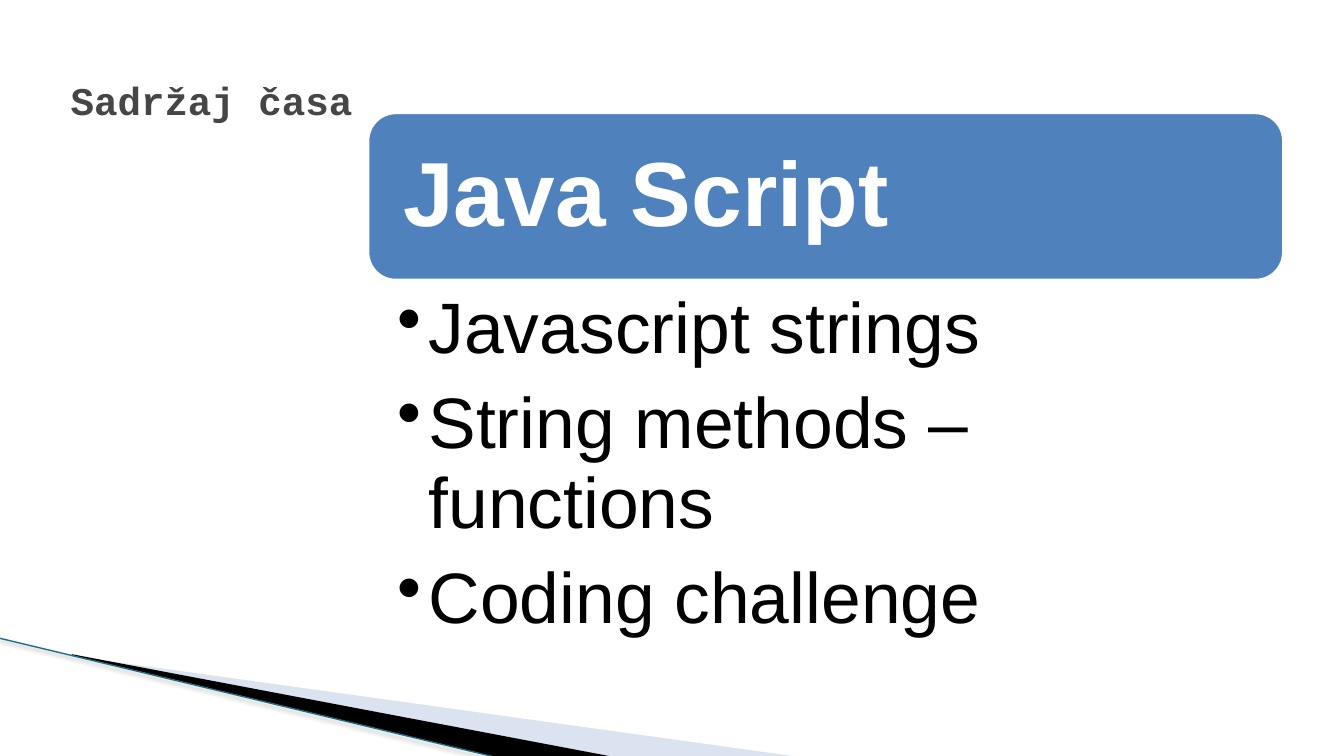
from lxml import etree
from pptx import Presentation
from pptx.dml.color import RGBColor
from pptx.enum.shapes import MSO_CONNECTOR, MSO_SHAPE
from pptx.enum.text import MSO_ANCHOR
from pptx.oxml import parse_xml
from pptx.oxml.ns import nsdecls, qn
from pptx.util import Inches, Pt

STRAIGHT = MSO_CONNECTOR.STRAIGHT
ROUNDED = MSO_SHAPE.ROUNDED_RECTANGLE
TOP, MIDDLE = MSO_ANCHOR.TOP, MSO_ANCHOR.MIDDLE

COLORS = {
    "pale": "A7B9DB", "black": "000000", "teal": "196F85",
    "heading": "464646", "blue": "4F81BD", "white": "FFFFFF",
}
RGB = {name: RGBColor.from_string(value) for name, value in COLORS.items()}

prs = Presentation()
prs.slide_width, prs.slide_height = Inches(13.33), Inches(7.5)
slide = prs.slides.add_slide(prs.slide_layouts[6])
shapes = slide.shapes


def place(*percents):
    """Turn alternating x, y percentages of the slide into lengths."""
    sides = (prs.slide_width, prs.slide_height)
    return [int(sides[i % 2] * p / 100) for i, p in enumerate(percents)]


def add_text(area, lines, font, size, color, bold=False, anchor=MIDDLE,
             insets=(0.75, 0.67, 0.75, 0.67), spacing=1.0, after=0):
    frame = shapes.add_textbox(*place(*area)).text_frame
    frame.word_wrap = True
    frame.vertical_anchor = anchor
    (frame.margin_left, frame.margin_top,
     frame.margin_right, frame.margin_bottom) = place(*insets)
    for i, line in enumerate(lines):
        paragraph = frame.add_paragraph() if i else frame.paragraphs[0]
        paragraph.line_spacing = spacing
        paragraph.space_after = Pt(after)
        run = paragraph.add_run()
        run.text = line
        run.font.name, run.font.size, run.font.bold = font, Pt(size), bold
        run.font.color.rgb = RGB[color]
    return frame


# Corner wedges
wedges = [
    ("pale", [(5.48, 86.8), (59.49, 100.13), (45.61, 100.13), (5.48, 86.67)]),
    ("black", [(5.33, 86.53), (45.69, 100.13), (37.21, 100.27), (5.4, 86.67)]),
]
for color, corners in wedges:
    start, *others = [place(*corner) for corner in corners]
    outline = shapes.build_freeform(*start)
    outline.add_line_segments(others)
    wedge = outline.convert_to_shape()
    wedge.shadow.inherit = False
    wedge.fill.solid()
    wedge.fill.fore_color.rgb = RGB[color]
    wedge.line.fill.background()
    if color == "pale":
        tint = wedge.fill._xPr.find(qn("a:solidFill"))[0]
        etree.SubElement(tint, qn("a:alpha"), val="40000")

# Edge line with a soft shadow below
edge = shapes.add_connector(STRAIGHT, *place(-0.08, 84.4, 37.13, 100.27))
edge.line.color.rgb = RGB["teal"]
edge.line.width = Pt(0.96)
edge._element.spPr.append(parse_xml(
    f'<a:effectLst {nsdecls("a")}><a:outerShdw blurRad="{Pt(3.1)}" '
    f'dist="{Pt(1.6)}" dir="5400000" algn="t" rotWithShape="0">'
    f'<a:srgbClr val="{COLORS["black"]}"><a:alpha val="38000"/></a:srgbClr>'
    '</a:outerShdw></a:effectLst>'))

# Slide heading
add_text((4.5, 3.6, 85.6, 19.33), ["Sadržaj časa"], "Courier New", 28,
         "heading", bold=True)

# Topic banner
banner = shapes.add_shape(ROUNDED, *place(27.38, 14.93, 68.12, 22.13))
banner.shadow.inherit = False
banner.fill.solid()
banner.fill.fore_color.rgb = RGB["blue"]
banner.line.color.rgb = RGB["white"]
banner.line.width = Pt(2)
add_text((27.98, 16, 66.84, 20), ["Java Script"], "Arial", 65, "white",
         bold=True, insets=(2.03, 3.6, 2.03, 3.6), spacing=0.9)

# Lesson topics
topics = add_text(
    (27.38, 37.07, 68.12, 46.13),
    ["Javascript strings", "String methods – functions", "Coding challenge"],
    "Arial", 51, "black", anchor=TOP, insets=(2.18, 1.2, 3.83, 1.2),
    spacing=0.94, after=10)
indent = place(2.33)[0]
for topic in topics.paragraphs:
    properties = topic._p.get_or_add_pPr()
    properties.set("marL", str(indent))
    properties.set("indent", str(-indent))
    etree.SubElement(properties, qn("a:buChar"), char="•")

prs.save("out.pptx")
